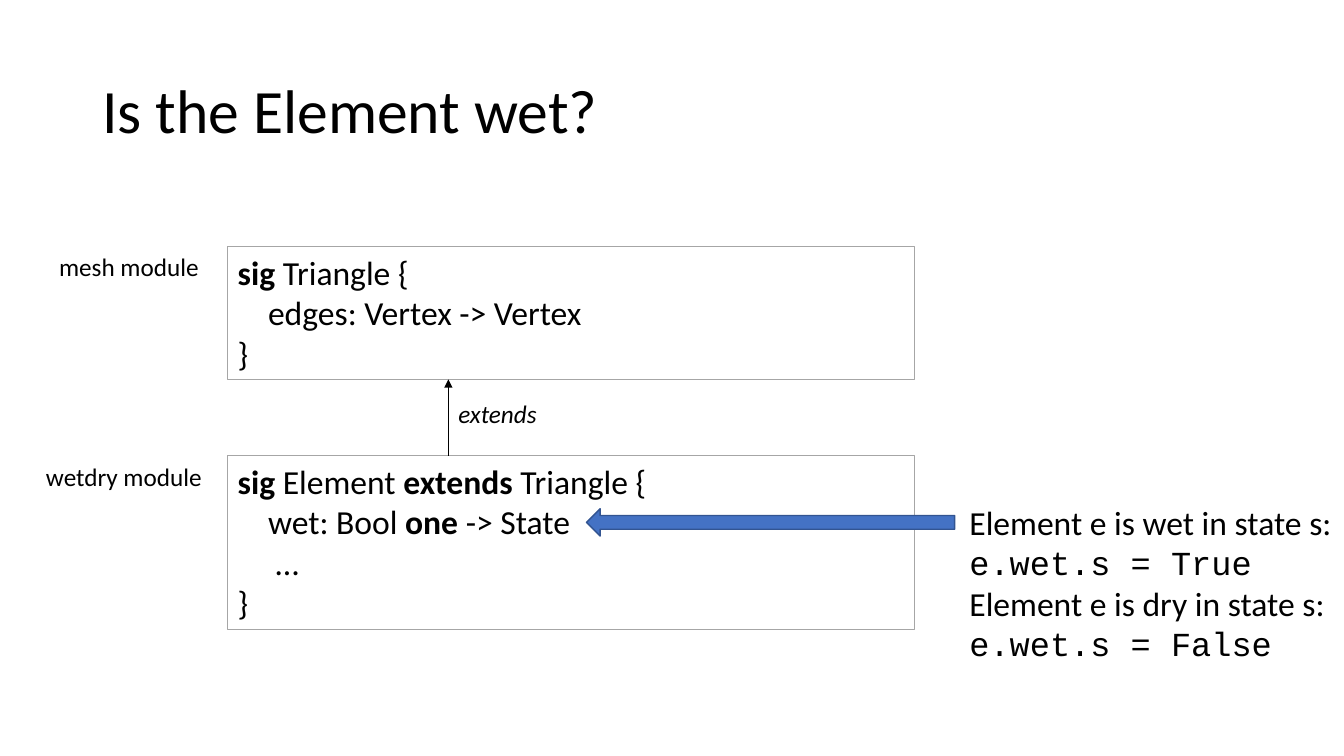
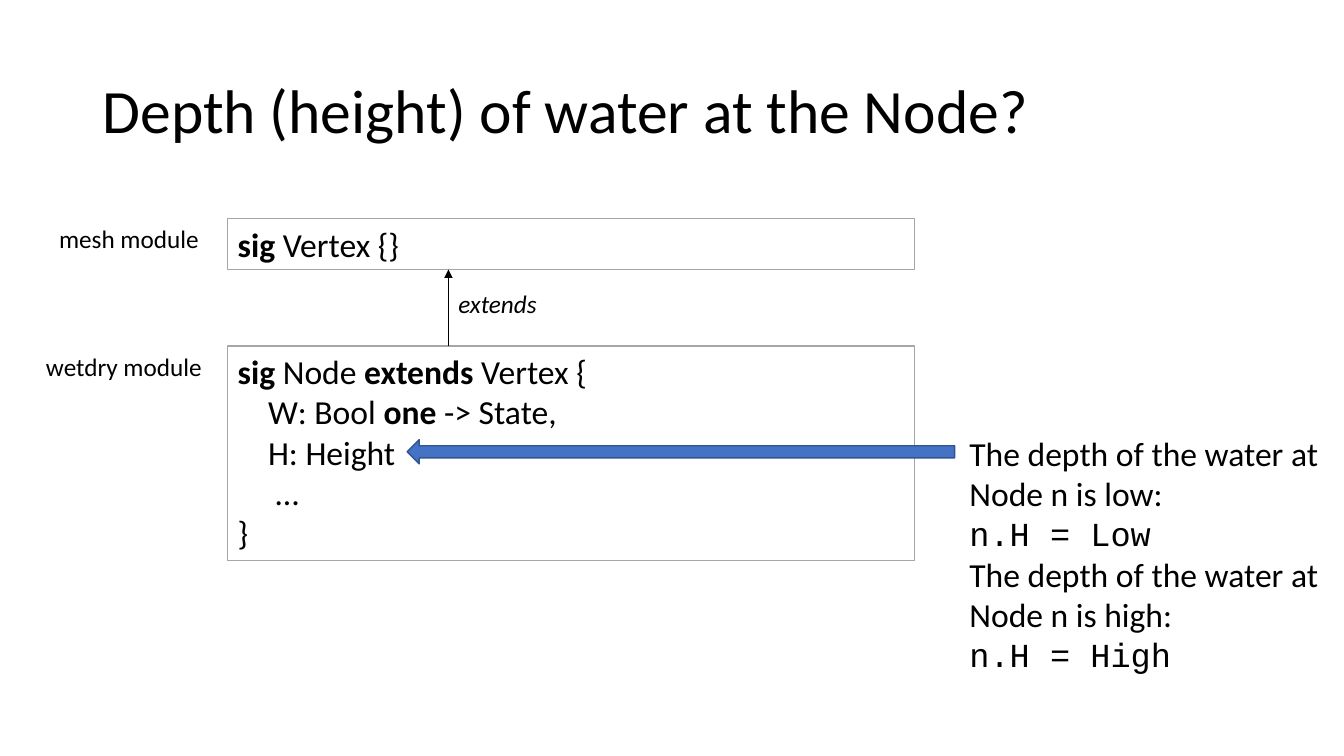
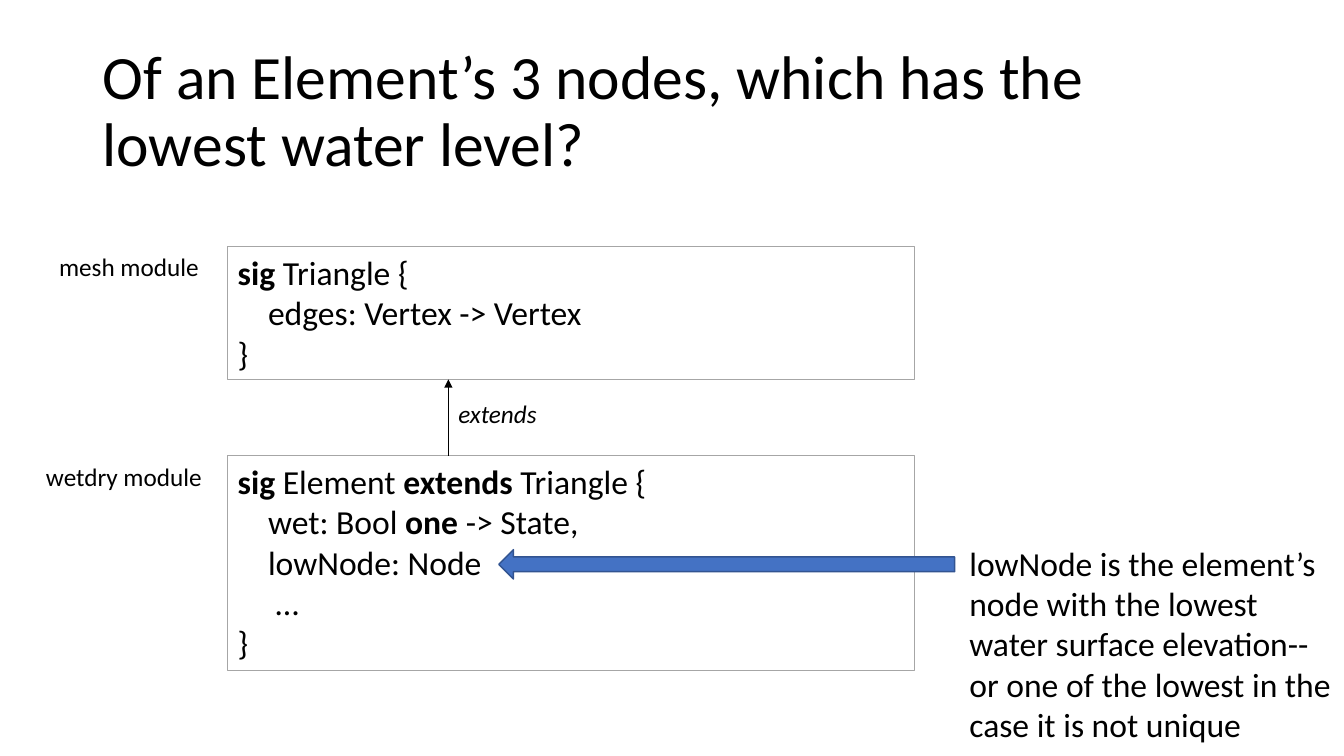
from lxml.etree import SubElement
from pptx import Presentation
from pptx.dml.color import RGBColor
from pptx.enum.shapes import MSO_CONNECTOR as Connector, MSO_SHAPE as Preset
from pptx.enum.text import MSO_ANCHOR as Anchor, MSO_AUTO_SIZE as AutoSize, PP_ALIGN as Align
from pptx.oxml.ns import qn
from pptx.util import Cm, Pt

# Shared style, lengths in centimetres
BODY_FONT, CODE_FONT = "Calibri", "Courier New"
BLACK, BOX_LINE, ARROW_FILL, ARROW_LINE = "000000", "A6A6A6", "4472C4", "325491"
LINE_HEIGHT, PADDING = 1.03, 0.25
BOX_LEFT, BOX_WIDTH, BOX_GAP = 5.74, 17.3, 1.93
NOTE_LEFT, NOTE_WIDTH, ARROW_END = 24.18, 9.7, 24.06

MESH_TRIANGLE = ["**sig** Triangle {", "    edges: Vertex -> Vertex", "}"]


def color(hex_value):
    return RGBColor.from_string(hex_value)


def text_height(line_count):
    return PADDING + line_count * LINE_HEIGHT


def write(shape, lines, size=24, italic=False, emphasis="bold", wrap=True,
          anchor=Anchor.TOP, auto_size=AutoSize.SHAPE_TO_FIT_TEXT, spacing=None):
    """Fill a shape with lines; parts between ** are bold or in the code font."""
    frame = shape.text_frame
    frame.word_wrap, frame.auto_size, frame.vertical_anchor = wrap, auto_size, anchor
    for index, line in enumerate(lines):
        paragraph = frame.add_paragraph() if index else frame.paragraphs[0]
        paragraph.alignment = Align.LEFT
        if spacing:
            paragraph.line_spacing = spacing
        for position, part in enumerate(line.split("**")):
            if not part:
                continue
            marked = position % 2 == 1
            run = paragraph.add_run()
            run.text = part
            font = run.font
            font.size, font.italic = Pt(size), italic
            font.bold = marked and emphasis == "bold"
            font.name = CODE_FONT if marked and emphasis == "code" else BODY_FONT
            font.color.rgb = color(BLACK)


def add_text(slide, left, top, width, height, lines, **style):
    box = slide.shapes.add_textbox(Cm(left), Cm(top), Cm(width), Cm(height))
    write(box, lines, **style)


def add_preset(slide, preset, left, top, width, height, line, weight, fill=None):
    shape = slide.shapes.add_shape(preset, Cm(left), Cm(top), Cm(width), Cm(height))
    shape.shadow.inherit = False
    shape.line.color.rgb = color(line)
    shape.line.width = Pt(weight)
    if fill:
        shape.fill.solid()
        shape.fill.fore_color.rgb = color(fill)
    else:
        shape.fill.background()
    return shape


def add_title(slide, text):
    title = slide.shapes.title
    title.left, title.top, title.width, title.height = Cm(2.33), Cm(1.01), Cm(29.21), Cm(3.68)
    write(title, [text], size=44, anchor=Anchor.MIDDLE, auto_size=AutoSize.NONE, spacing=0.9)


def add_module(slide, top, name, name_left, name_width, code):
    """Module name beside its code box; returns the bottom of the box."""
    height = text_height(len(code))
    box = add_preset(slide, Preset.RECTANGLE, BOX_LEFT, top, BOX_WIDTH, height, BOX_LINE, 0.75)
    write(box, code)
    add_text(slide, name_left, top, name_width, 1.03, [name], size=18, wrap=False)
    return top + height


def add_extends(slide, top, left=11.3):
    """Arrow up across the gap below top, with its label."""
    arrow = slide.shapes.add_connector(
        Connector.STRAIGHT, Cm(left), Cm(top + BOX_GAP), Cm(left), Cm(top))
    arrow.line.color.rgb = color(BLACK)
    arrow.line.width = Pt(0.5)
    SubElement(arrow.line._get_or_add_ln(), qn("a:tailEnd"), type="triangle")
    SubElement(arrow._element.spPr, qn("a:effectLst"))
    add_text(slide, left, top + 0.36, 2.57, 1.03, ["extends"], size=18, italic=True, wrap=False)


def add_note(slide, top, lines, line_count, arrow_tip, arrow_height):
    """Explanation at the right with a block arrow to its code line."""
    add_preset(slide, Preset.LEFT_ARROW, arrow_tip, top + 0.3, ARROW_END - arrow_tip,
               arrow_height, ARROW_LINE, 1, fill=ARROW_FILL)
    add_text(slide, NOTE_LEFT, top, NOTE_WIDTH, text_height(line_count), lines, emphasis="code")


def add_question_slide(presentation, title, top, mesh, wetdry, code_row, **note):
    slide = presentation.slides.add_slide(presentation.slide_layouts[5])
    add_title(slide, title)
    mesh_bottom = add_module(slide, top, "mesh module", 1.24, 4.06, mesh)
    wetdry_top = mesh_bottom + BOX_GAP
    add_module(slide, wetdry_top, "wetdry module", 0.91, 4.5, wetdry)
    add_extends(slide, mesh_bottom)
    add_note(slide, wetdry_top + code_row * LINE_HEIGHT, **note)


def main():
    presentation = Presentation()
    presentation.slide_width, presentation.slide_height = Cm(33.87), Cm(19.05)

    add_question_slide(
        presentation, "Is the Element wet?", 6.22, MESH_TRIANGLE,
        ["**sig** Element **extends** Triangle {", "    wet: Bool **one** -> State",
         "     …", "}"],
        code_row=1, arrow_tip=14.78, arrow_height=0.69, line_count=4,
        lines=["Element e is wet in state s: **e.wet.s = True**",
               "Element e is dry in state s: **e.wet.s = False**"])

    add_question_slide(
        presentation, "Depth (height) of water at the Node?", 5.51, ["**sig** Vertex {}"],
        ["**sig** Node **extends** Vertex {", "    W: Bool **one** -> State,",
         "    H: Height", "     …", "}"],
        code_row=2, arrow_tip=10.26, arrow_height=0.61, line_count=6,
        lines=["The depth of the water at Node n is low:", "**n.H = Low**",
               "The depth of the water at Node n is high:", "**n.H = High**"])

    add_question_slide(
        presentation, "Of an Element’s 3 nodes, which has the lowest water level?", 6.22,
        MESH_TRIANGLE,
        ["**sig** Element **extends** Triangle {", "    wet: Bool **one** -> State,",
         "    lowNode: Node", "     …", "}"],
        code_row=2, arrow_tip=12.57, arrow_height=0.74, line_count=5,
        lines=["lowNode is the element’s node with the lowest water surface elevation--"
               "or one of the lowest in the case it is not unique"])

    presentation.save("out.pptx")


if __name__ == "__main__":
    main()
